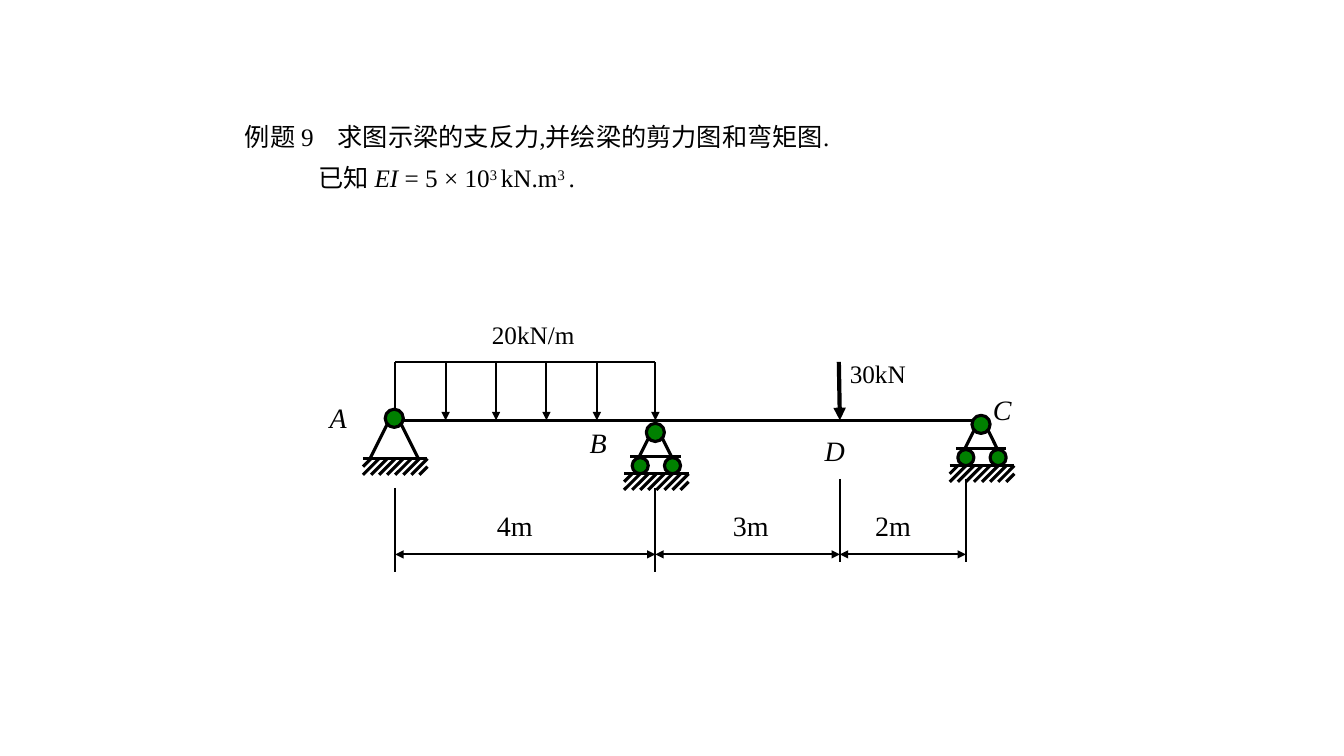
from itertools import pairwise

from lxml import etree
from pptx import Presentation
from pptx.dml.color import RGBColor
from pptx.enum.shapes import MSO_CONNECTOR, MSO_SHAPE
from pptx.enum.text import MSO_ANCHOR, MSO_AUTO_SIZE, PP_ALIGN
from pptx.oxml.ns import qn
from pptx.util import Emu, Pt

LINE = MSO_CONNECTOR.STRAIGHT
OVAL = MSO_SHAPE.OVAL
LEFT = PP_ALIGN.LEFT
FRAME = {"word_wrap": True, "auto_size": MSO_AUTO_SIZE.SHAPE_TO_FIT_TEXT,
         "vertical_anchor": MSO_ANCHOR.TOP}
BLACK, GREEN = "000000", "008000"


def px(n):
    """Turn hundredths of an inch into EMU."""
    return Emu(n * 9144)


def color(value):
    """Turn a hex string into a colour."""
    return RGBColor.from_string(value)


def apply(target, values):
    """Set each named attribute on the target."""
    for name, value in values.items():
        setattr(target, name, value)


class BeamSlide:
    """Hold the style and the slide on which the beam is drawn."""

    font = "Times New Roman"

    def __init__(self, prs):
        """Add a title-only slide."""
        self.s = prs.slides.add_slide(prs.slide_layouts[5])
        self.shapes = self.s.shapes

    def run(self, p, text, size=18, italic=False, baseline=0):
        """Add a formatted run to a paragraph."""
        r = p.add_run()
        r.text = text
        apply(r.font, {"name": self.font, "size": Pt(size), "italic": italic, "bold": False})
        r.font.color.rgb = color(BLACK)
        if baseline:
            r.font._element.set("baseline", str(baseline))

    def title(self, box, paragraphs):
        """Place the title and fill it with (margin, tab, runs) paragraphs."""
        sp = self.s.shapes.title
        apply(sp, dict(zip(("left", "top", "width", "height"), map(px, box))))
        tf = sp.text_frame
        apply(tf, FRAME)
        for i, (margin, tab, runs) in enumerate(paragraphs):
            p = tf.add_paragraph() if i else tf.paragraphs[0]
            apply(p, {"alignment": LEFT, "space_before": Pt(8 if i else 0)})
            pPr = p._p.get_or_add_pPr()
            pPr.set("marL", str(px(margin)))
            if tab:
                tabs = etree.SubElement(pPr, qn("a:tabLst"))
                etree.SubElement(tabs, qn("a:tab"), pos=str(px(tab)), algn="l")
            for text, fmt in runs:
                self.run(p, text, **fmt)

    def label(self, x, y, w, h, text, **fmt):
        """Add a one-line text box."""
        tf = self.shapes.add_textbox(px(x), px(y), px(w), px(h)).text_frame
        apply(tf, FRAME)
        self.run(tf.paragraphs[0], text, **fmt)

    def line(self, x1, y1, x2, y2, width=1.5, ends=()):
        """Draw a line with arrowheads at the named ends."""
        c = self.shapes.add_connector(LINE, px(x1), px(y1), px(x2), px(y2))
        c.line.width = Pt(width)
        c.line.color.rgb = color(BLACK)
        for end in ends:
            etree.SubElement(c.line._get_or_add_ln(), qn(f"a:{end}"), type="triangle")
        etree.SubElement(c._element.spPr, qn("a:effectLst"))

    def circle(self, x, y, size):
        """Draw a green hinge or roller."""
        sp = self.shapes.add_shape(OVAL, px(x), px(y), px(size), px(size))
        sp.shadow.inherit = False
        sp.fill.solid()
        sp.fill.fore_color.rgb = color(GREEN)
        sp.line.color.rgb = color(BLACK)
        sp.line.width = Pt(2.25)

    def ground(self, x, y, step=8, count=8):
        """Draw a ground line with hatching clipped to its ends."""
        right = x + step * count
        self.line(x, y, right, y, 2.25)
        for i in range(1, count + 2):
            start = min(x + step * i, right)
            end = max(x + step * (i - 2), x)
            drop = start - end
            top = y + 2 * step - drop if i > count else y
            self.line(start, top, end, top + drop, 2.25)

    def support(self, cx, cy, roller):
        """Draw a grouped hinge support, on rollers or fixed."""
        self.shapes = self.s.shapes.add_group_shape().shapes
        reach, foot, base = (16, 24, 41) if roller else (24, 40, 40)
        for side in (-1, 1):
            self.line(cx + 7 * side, cy + 6, cx + reach * side, cy + foot, 2.25)
        self.ground(cx - 31, cy + base)
        if roller:
            self.line(cx - 25, cy + foot, cx + 25, cy + foot, 2.25)
            for wheel in (9, -23):
                self.circle(cx + wheel, cy + 25, 16)
        self.circle(cx - 9, cy - 9, 18)
        self.shapes = self.s.shapes


def main():
    """Build the beam problem slide."""
    prs = Presentation()
    apply(prs, {"slide_width": px(1333), "slide_height": px(750)})
    s = BeamSlide(prs)
    raised = {"baseline": 30000}
    s.title((233, 115, 842, 86), [
        (0, 92, [("例题 9\t求图示梁的支反力,并绘梁的剪力图和弯矩图.", {})]),
        (73, 0, [("已知 ", {}), ("EI", {"italic": True}), (" = 5 × 10", {}),
                 ("3 ", raised), ("kN.m", {}), ("3 ", raised), (".", {})]),
    ])

    a, b, d, c = 392, 650, 833, 958
    load_top, beam, dimension = 359, 417, 550
    s.line(a, beam, 967, beam, 2.25)
    for x in [*range(a, 600, 50), b]:
        s.line(x, load_top, x, beam, ends=["tailEnd"])
    s.line(a, load_top, b, load_top)
    s.line(832, load_top, d, beam, 3, ["tailEnd"])

    for x, top in ((a, 484), (b, 484), (d, 475), (c, 475)):
        s.line(x, top, x, top + 83)
    for x1, x2 in pairwise((a, b, d, c)):
        s.line(x1, dimension, x2, dimension, ends=["headEnd", "tailEnd"])

    for x, w, text in ((483, 108, "4m"), (717, 92, "3m"), (858, 92, "2m")):
        s.label(x, 500, w, 43, text, size=20)
    for x, y, w, text in ((317, 392, 75, "A"), (575, 417, 75, "B"),
                          (808, 425, 75, "D"), (975, 384, 58, "C")):
        s.label(x, y, w, 43, text, size=20, italic=True)
    for x, y, w, text in ((833, 351, 133, "30kN"), (478, 312, 150, "20kN/m")):
        s.label(x, y, w, 40, text)

    for cx, cy, roller in ((391, 415, False), (973, 421, True), (650, 429, True)):
        s.support(cx, cy, roller)
    prs.save("out.pptx")


if __name__ == "__main__":
    main()
